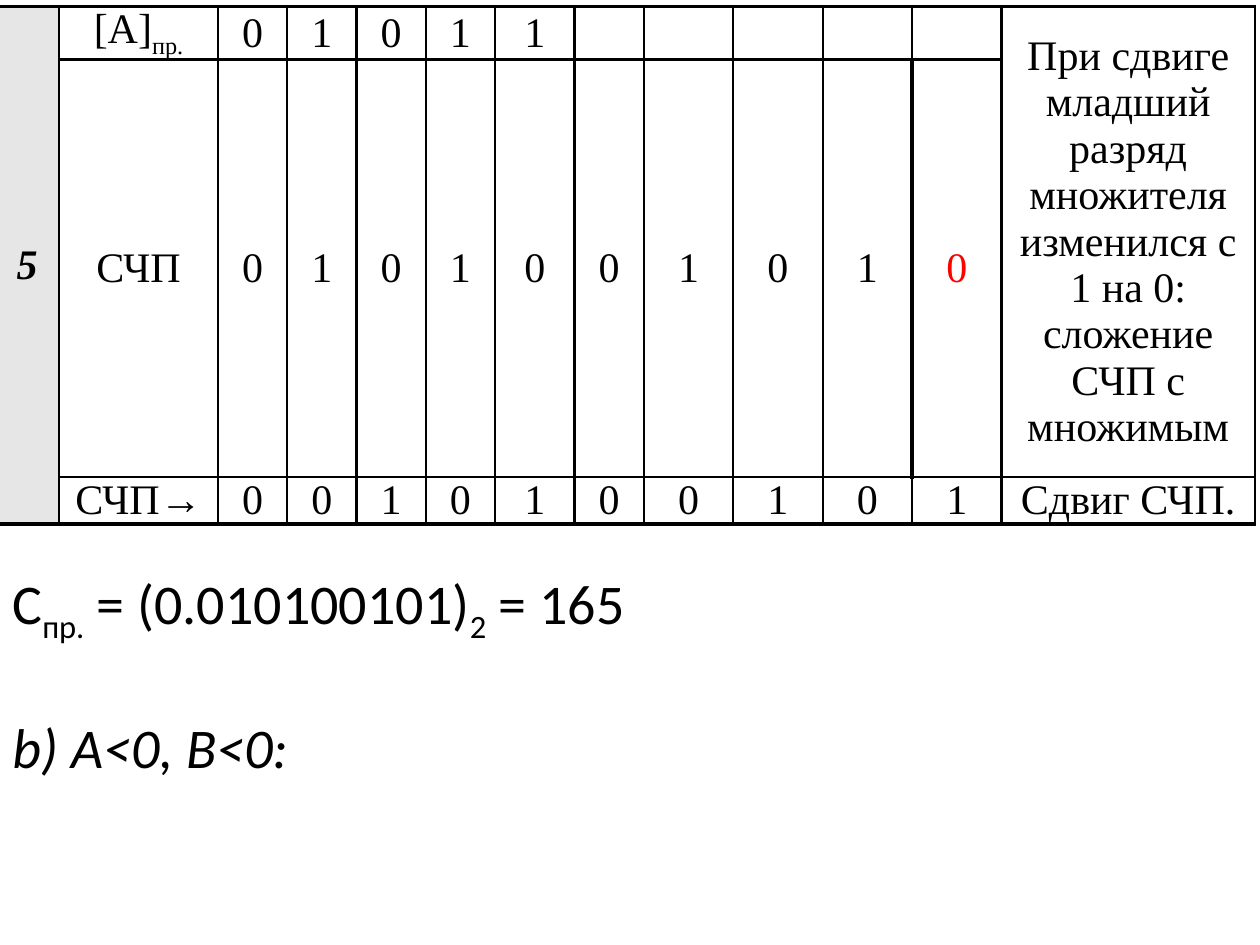
from dataclasses import dataclass

from lxml import etree
from pptx import Presentation
from pptx.dml.color import RGBColor
from pptx.enum.text import MSO_ANCHOR, MSO_AUTO_SIZE, PP_ALIGN
from pptx.oxml.ns import qn
from pptx.util import Inches, Pt

MIDDLE, TOP = MSO_ANCHOR.MIDDLE, MSO_ANCHOR.TOP
CENTER = PP_ALIGN.CENTER
GROW = MSO_AUTO_SIZE.SHAPE_TO_FIT_TEXT


@dataclass(frozen=True)
class Theme:
    table_font: str = "Times New Roman"
    body_font: str = "Calibri"
    table_size: int = 24
    body_size: int = 32
    paragraph_gap: int = 39
    ink: str = "000000"
    accent: str = "FF0000"
    step_fill: str = "E6E6E6"
    thin: float = 1.5
    thick: float = 2.25
    heavy: float = 3


@dataclass(frozen=True)
class Span:
    text: str
    color: str = Theme.ink
    bold: bool = False
    italic: bool = False
    subscript: bool = False


THEME = Theme()
COLUMN_WIDTHS = [0.51, 1.26] + [0.55] * 4 + [0.63, 0.55] + [0.71] * 4 + [2.01]
ROW_HEIGHTS = [0.1, 1.09, 0.19]
LAST_ROW = len(ROW_HEIGHTS) - 1
LAST_COLUMN = len(COLUMN_WIDTHS) - 1
FIRST_DIGIT = 2
REGISTER_SPLIT = 7
MULTIPLIER_BIT = 11

STEP = [Span("5", bold=True, italic=True)]
LABELS = [[Span("[A]"), Span("пр.", subscript=True)], [Span("СЧП")], [Span("СЧП→")]]
DIGITS = ["01011", "0101001010", "0010100101"]
NOTES = {
    0: "При сдвиге младший разряд множителя изменился с 1 на 0: сложение СЧП с множимым",
    2: "Сдвиг СЧП.",
}
RESULT = [
    [
        Span("С"),
        Span("пр.", subscript=True),
        Span(" = (0.010100101)"),
        Span("2", subscript=True),
        Span(" = 165"),
    ],
    [Span("b) А<0, B<0:", italic=True)],
]


def write_spans(para, spans: list[Span], font_name: str, size: int) -> None:
    for span in spans:
        run = para.add_run()
        run.text = span.text
        font_format = {
            "name": font_name,
            "size": Pt(size),
            "bold": span.bold,
            "italic": span.italic,
        }
        for name, value in font_format.items():
            setattr(run.font, name, value)
        run.font.color.rgb = RGBColor.from_string(span.color)
        if span.subscript:
            run.font._element.set("baseline", "-25000")


def cell_spans(row: int, column: int) -> list[Span]:
    if column == 0:
        return STEP if row == 0 else []
    if column == 1:
        return LABELS[row]
    if column == LAST_COLUMN:
        return [Span(NOTES[row])] if row in NOTES else []
    digit = DIGITS[row][column - FIRST_DIGIT:column - FIRST_DIGIT + 1]
    color = THEME.accent if (row, column) == (1, MULTIPLIER_BIT) else THEME.ink
    return [Span(digit, color)] if digit else []


def edge_width(row: int, column: int) -> float:
    """Width of the vertical rule on the left of a column."""
    if column == REGISTER_SPLIT:
        return THEME.thick
    return THEME.heavy if (row, column) == (1, MULTIPLIER_BIT) else THEME.thin


def draw_borders(cell, row: int, column: int) -> None:
    bottom_row = row + cell.span_height - 1
    widths = {
        "a:lnL": edge_width(row, column),
        "a:lnR": edge_width(row, column + 1),
        "a:lnT": THEME.thick if row == 0 else THEME.thin,
        "a:lnB": THEME.thick if bottom_row == LAST_ROW else THEME.thin,
    }
    properties = cell._tc.get_or_add_tcPr()
    for tag, width in widths.items():
        line = etree.SubElement(properties, qn(tag), w=str(Pt(width)))
        fill = etree.SubElement(line, qn("a:solidFill"))
        etree.SubElement(fill, qn("a:srgbClr"), val=THEME.ink)


def fill_cell(cell, row: int, column: int) -> None:
    spans = cell_spans(row, column)
    if not cell.is_spanned:
        draw_borders(cell, row, column)
    if column == 0:
        cell.fill.solid()
        cell.fill.fore_color.rgb = RGBColor.from_string(THEME.step_fill)
    else:
        cell.fill.background()
    if spans or cell.is_spanned:
        cell_format = {
            "margin_left": Inches(0.04),
            "margin_right": Inches(0.04),
            "margin_top": 0,
            "margin_bottom": 0,
            "vertical_anchor": TOP if (row, column) == (0, 1) else MIDDLE,
        }
        for name, value in cell_format.items():
            setattr(cell, name, value)
    para = cell.text_frame.paragraphs[0]
    para.alignment = CENTER
    write_spans(para, spans, THEME.table_font, THEME.table_size)


def add_multiplication_table(slide) -> None:
    frame = slide.shapes.add_table(
        len(ROW_HEIGHTS), len(COLUMN_WIDTHS),
        Inches(-0.04), Inches(0.05), Inches(10), Inches(4),
    )
    table = frame.table
    table.first_row = False
    table.horz_banding = False
    for column, width in zip(table.columns, COLUMN_WIDTHS):
        column.width = Inches(width)
    for row, height in zip(table.rows, ROW_HEIGHTS):
        row.height = Inches(height)
    frame.height = Inches(4)
    table.cell(0, 0).merge(table.cell(LAST_ROW, 0))
    table.cell(0, LAST_COLUMN).merge(table.cell(1, LAST_COLUMN))
    for row in range(len(ROW_HEIGHTS)):
        for column in range(len(COLUMN_WIDTHS)):
            fill_cell(table.cell(row, column), row, column)


def add_result(slide) -> None:
    box = slide.shapes.add_textbox(Inches(0), Inches(4.46), Inches(10), Inches(2.26))
    frame = box.text_frame
    frame.word_wrap = True
    frame.auto_size = GROW
    for index, spans in enumerate(RESULT):
        para = frame.add_paragraph() if index else frame.paragraphs[0]
        if index:
            para.space_before = Pt(THEME.paragraph_gap)
        write_spans(para, spans, THEME.body_font, THEME.body_size)


def main() -> None:
    deck = Presentation()
    deck.slide_width, deck.slide_height = Inches(10), Inches(7.5)
    slide = deck.slides.add_slide(deck.slide_layouts[6])
    add_multiplication_table(slide)
    add_result(slide)
    deck.save("out.pptx")


if __name__ == "__main__":
    main()
